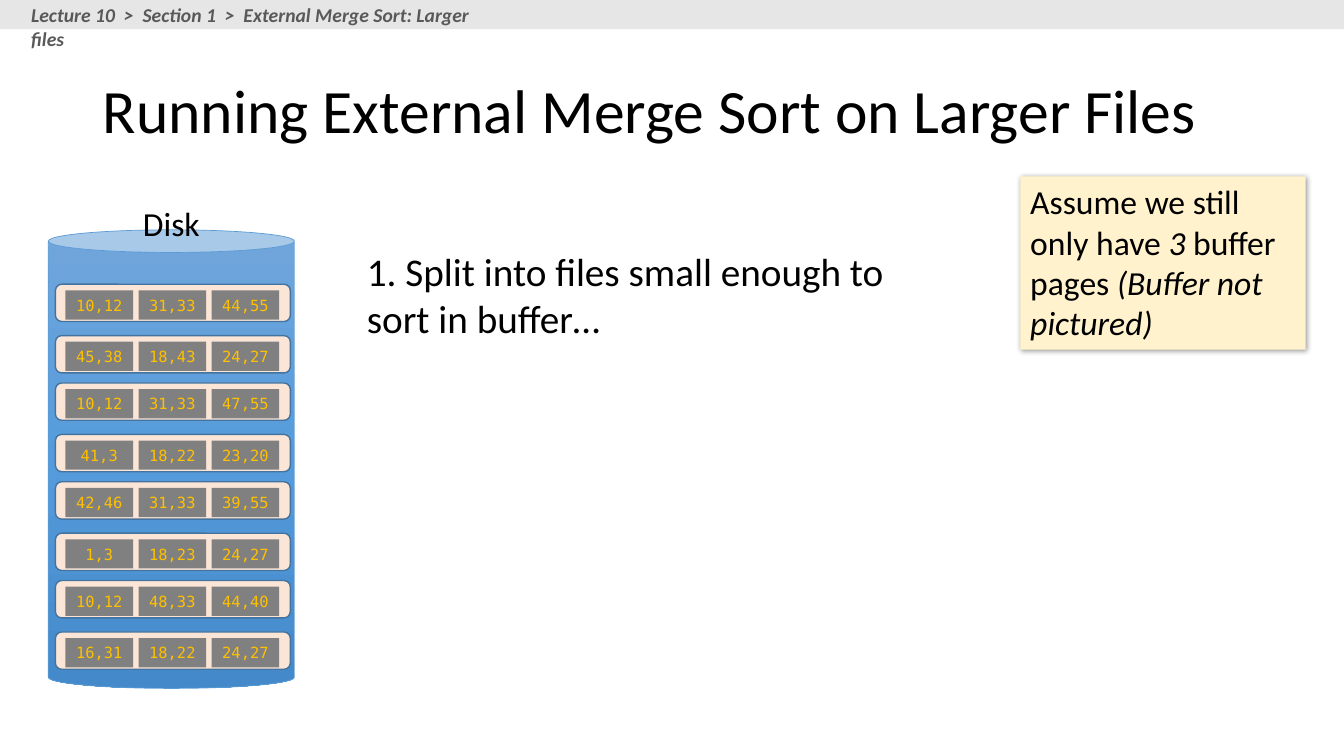
"""Build the slide on running external merge sort on larger files."""
from dataclasses import dataclass

from pptx import Presentation
from pptx.dml.color import RGBColor
from pptx.enum.shapes import MSO_SHAPE
from pptx.enum.text import MSO_ANCHOR, MSO_AUTO_SIZE, PP_ALIGN
from pptx.oxml import parse_xml
from pptx.oxml.ns import nsdecls
from pptx.shapes.autoshape import Shape
from pptx.slide import Slide
from pptx.util import Inches, Pt

RECTANGLE, ROUNDED, CAN = MSO_SHAPE.RECTANGLE, MSO_SHAPE.ROUNDED_RECTANGLE, MSO_SHAPE.CAN
LEFT, CENTER = PP_ALIGN.LEFT, PP_ALIGN.CENTER
TOP, MIDDLE = MSO_ANCHOR.TOP, MSO_ANCHOR.MIDDLE
NO_FIT = MSO_AUTO_SIZE.NONE
SANS, MONO = "Calibri", "DejaVu Sans Mono"
COLORS = {
    "text": "000000", "breadcrumb": "595959", "header": "E7E6E6", "note": "FFF2CC",
    "file": "FBE5D6", "file_line": "43739E", "page": "808080", "page_text": "FFC000",
    "disk_top": "71A6DB", "disk_middle": "559BDB", "disk_bottom": "448ACA",
    "disk_line": "5B9BD5",
}
FILES = [
    ("10,12", "31,33", "44,55"),
    ("45,38", "18,43", "24,27"),
    ("10,12", "31,33", "47,55"),
    ("41,3", "18,22", "23,20"),
    ("42,46", "31,33", "39,55"),
    ("1,3", "18,23", "24,27"),
    ("10,12", "48,33", "44,40"),
    ("16,31", "18,22", "24,27"),
]
FIRST_FILE_TOP, FILE_STEP, PAIR_STEP = 2.82, 0.51, 0.98
FIRST_PAGE_LEFT, PAGE_STEP = 0.65, 0.725


@dataclass
class Area:
    """A rectangle on the slide, in inches."""

    left: float
    top: float
    width: float
    height: float

    def lengths(self) -> list[Inches]:
        """Return left, top, width and height as lengths."""
        return [Inches(value) for value in (self.left, self.top, self.width, self.height)]


@dataclass
class Style:
    """How the text of a shape looks."""

    size: float
    color: str = "text"
    font: str = SANS
    align: PP_ALIGN = LEFT
    anchor: MSO_ANCHOR = TOP
    bold: bool = False
    italic: bool | None = None
    wrap: bool = True


@dataclass
class Span:
    """A piece of text, italic or not."""

    text: str
    italic: bool | None = None


@dataclass
class Label:
    """A text box with its place and style."""

    area: Area
    text: str
    style: Style


TITLE_STYLE = Style(44, anchor=MIDDLE)
NOTE_STYLE = Style(24)
PAGE_STYLE = Style(11, "page_text", MONO, CENTER, MIDDLE, wrap=False)
LABELS = [
    Label(Area(1.2, 1.96, 1, 0.5), "Disk", Style(24, align=CENTER)),
    Label(Area(3.54, 2.4, 5.45, 1.04),
          "1. Split into files small enough to sort in buffer…", Style(28)),
    Label(Area(0.21, -0.02, 4.82, 0.34),
          "Lecture 10  >  Section 1  >  External Merge Sort: Larger files",
          Style(14, "breadcrumb", bold=True, italic=True)),
]
NOTE = [
    Span("Assume we still only have "), Span("3", True),
    Span(" buffer pages "), Span("(Buffer not pictured)", True),
]


def rgb(name: str) -> RGBColor:
    """Return a named colour."""
    return RGBColor.from_string(COLORS[name])


def write(box: Shape, spans: list[Span], style: Style) -> None:
    """Write one styled paragraph into a shape."""
    frame = box.text_frame
    frame.auto_size = NO_FIT
    frame.word_wrap = style.wrap
    frame.vertical_anchor = style.anchor
    para = frame.paragraphs[0]
    para.alignment = style.align
    para.font.name = style.font
    para.font.size = Pt(style.size)
    para.font.bold = style.bold
    para.font.italic = style.italic
    para.font.color.rgb = rgb(style.color)
    for span in spans:
        run = para.add_run()
        run.text = span.text
        if span.italic is not None:
            run.font.italic = span.italic


def add_box(page: Slide, kind: MSO_SHAPE, area: Area, fill: str,
            line: str | None = None, line_width: float = 1) -> Shape:
    """Add a filled shape without a shadow."""
    box = page.shapes.add_shape(kind, *area.lengths())
    box.shadow.inherit = False
    box.fill.solid()
    box.fill.fore_color.rgb = rgb(fill)
    if line:
        box.line.color.rgb = rgb(line)
        box.line.width = Pt(line_width)
    else:
        box.line.fill.background()
    return box


def add_disk(page: Slide) -> None:
    """Add the disk cylinder with its vertical gradient."""
    disk = add_box(page, CAN, Area(0.48, 2.28, 2.44, 4.55), "disk_middle", "disk_line", 0.5)
    disk.adjustments[0] = 0.092
    stops = "".join(
        f'<a:gs pos="{position}"><a:srgbClr val="{COLORS[name]}"/></a:gs>'
        for position, name in ((0, "disk_top"), (50000, "disk_middle"), (100000, "disk_bottom")))
    gradient = parse_xml(
        f'<a:gradFill {nsdecls("a")} rotWithShape="1"><a:gsLst>{stops}</a:gsLst>'
        '<a:lin ang="5400000" scaled="0"/></a:gradFill>')
    properties = disk.element.spPr
    properties.replace(properties.solidFill, gradient)


def add_file(page: Slide, index: int, values: tuple[str, ...]) -> None:
    """Add one file with its pages of values."""
    top = FIRST_FILE_TOP + index // 2 * PAIR_STEP + index % 2 * FILE_STEP
    add_box(page, ROUNDED, Area(0.55, top, 2.33, 0.37), "file", "file_line")
    for column, value in enumerate(values):
        left = FIRST_PAGE_LEFT + column * PAGE_STEP
        cell = add_box(page, RECTANGLE, Area(left, top + 0.06, 0.67, 0.29), "page")
        write(cell, [Span(value)], PAGE_STYLE)


def add_note(page: Slide) -> None:
    """Add the note on buffer pages with its soft shadow."""
    note = add_box(page, RECTANGLE, Area(10.12, 1.75, 2.83, 1.72), "note")
    write(note, NOTE, NOTE_STYLE)
    effects = note.element.spPr.find("{*}effectLst")
    effects.append(parse_xml(
        f'<a:outerShdw {nsdecls("a")} blurRad="{Pt(4)}" dist="{Pt(1)}" dir="2700000" '
        f'algn="tl" rotWithShape="0"><a:srgbClr val="{COLORS["text"]}">'
        '<a:alpha val="40000"/></a:srgbClr></a:outerShdw>'))


def main() -> None:
    """Build and save the deck."""
    deck = Presentation()
    deck.slide_width, deck.slide_height = Inches(13.33), Inches(7.5)
    page = deck.slides.add_slide(deck.slide_layouts[5])
    title = page.shapes.title
    title.left, title.top, title.width, title.height = Area(0.92, 0.4, 11.5, 1.45).lengths()
    write(title, [Span("Running External Merge Sort on Larger Files")], TITLE_STYLE)
    title.text_frame.paragraphs[0].line_spacing = 0.9
    add_disk(page)
    for index, values in enumerate(FILES):
        add_file(page, index, values)
    add_note(page)
    add_box(page, RECTANGLE, Area(0, 0, 13.33, 0.29), "header")
    for label in LABELS:
        box = page.shapes.add_textbox(*label.area.lengths())
        write(box, [Span(label.text)], label.style)
    deck.save("out.pptx")


if __name__ == "__main__":
    main()
